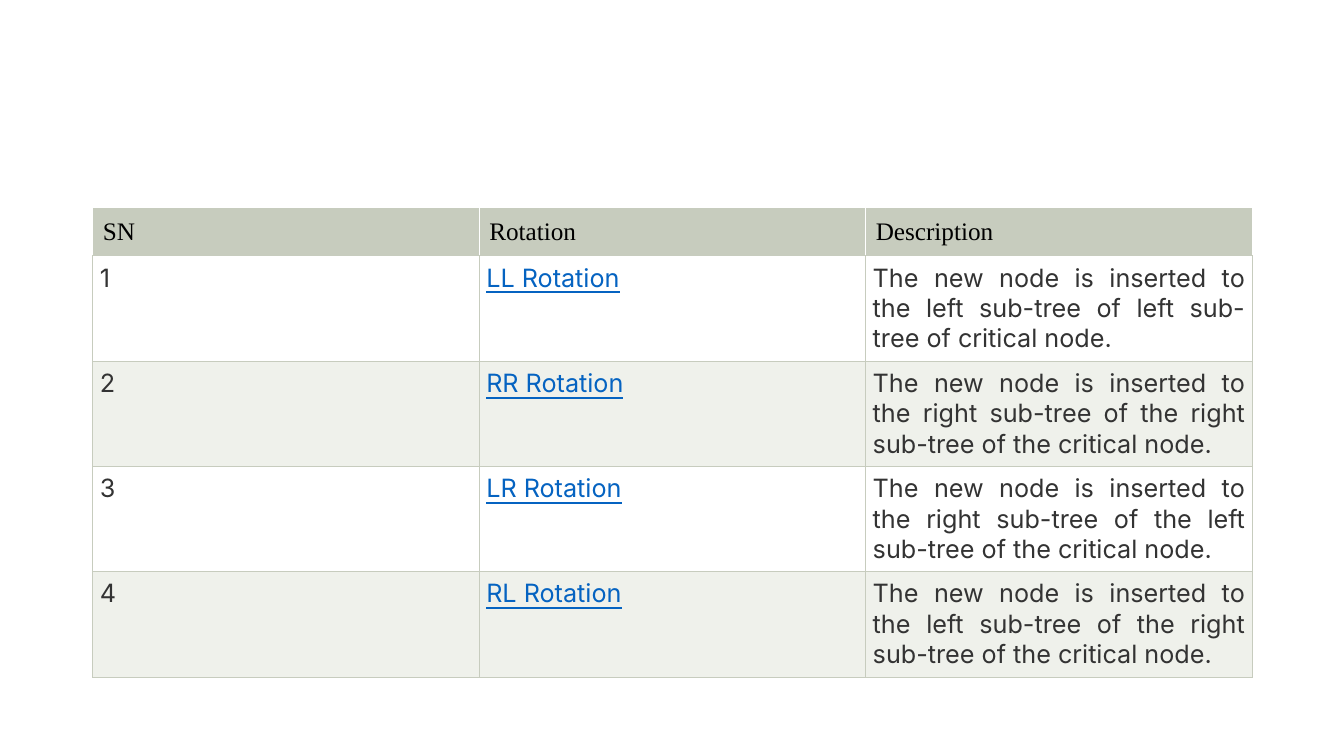
from lxml import etree
from pptx import Presentation
from pptx.dml.color import RGBColor
from pptx.enum import text
from pptx.oxml import ns
from pptx.util import Inches, Pt

SAGE = RGBColor(0xC7, 0xCC, 0xBE)
PALE_SAGE = RGBColor(0xEF, 0xF1, 0xEB)
WHITE = RGBColor(0xFF, 0xFF, 0xFF)
BLACK = RGBColor(0x00, 0x00, 0x00)
DARK_GREY = RGBColor(0x33, 0x33, 0x33)
LINK_BLUE = RGBColor(0x05, 0x63, 0xC1)

HEADINGS = ["SN", "Rotation", "Description"]
ROTATIONS = [
    ("LL Rotation", "The new node is inserted to the left sub-tree of left sub-tree of critical node."),
    ("RR Rotation", "The new node is inserted to the right sub-tree of the right sub-tree of the critical node."),
    ("LR Rotation", "The new node is inserted to the right sub-tree of the left sub-tree of the critical node."),
    ("RL Rotation", "The new node is inserted to the left sub-tree of the right sub-tree of the critical node."),
]


def set_borders(cell, sides):
    """Draw thin sage lines on the given sides, in the order L, R, T, B."""
    properties = cell._tc.get_or_add_tcPr()
    for position, side in enumerate(sides):
        line = etree.Element(ns.qn(f"a:ln{side}"), w=str(Pt(0.6)))
        fill = etree.SubElement(line, ns.qn("a:solidFill"))
        etree.SubElement(fill, ns.qn("a:srgbClr"), val=str(SAGE))
        properties.insert(position, line)


def fill_cell(cell, content, background, margin, font_name, color):
    cell.fill.solid()
    cell.fill.fore_color.rgb = background
    cell.margin_left = cell.margin_right = Inches(margin)
    cell.margin_top = cell.margin_bottom = Inches(margin)
    cell.text = content
    paragraph = cell.text_frame.paragraphs[0]
    paragraph.font.name = font_name
    paragraph.font.size = Pt(18)
    paragraph.font.bold = False
    paragraph.font.color.rgb = color
    return paragraph


def add_header(table):
    for cell, heading in zip(table.rows[0].cells, HEADINGS):
        fill_cell(cell, heading, SAGE, 0.1, "Times New Roman", BLACK)
        set_borders(cell, "B")


def add_rotation(table, number, name, description):
    background = WHITE if number % 2 else PALE_SAGE
    for cell, content in zip(table.rows[number].cells, (str(number), name, description)):
        is_name = content == name
        color = LINK_BLUE if is_name else DARK_GREY
        paragraph = fill_cell(cell, content, background, 0.07, "Inter", color)
        paragraph.alignment = text.PP_ALIGN.JUSTIFY
        paragraph.font.underline = is_name
        set_borders(cell, "LRTB")


def add_rotation_table(page):
    frame = page.shapes.add_table(len(ROTATIONS) + 1, len(HEADINGS),
                                  Inches(0.92), Inches(2.06), Inches(11.5), Inches(4.63))
    table = frame.table
    table.rows[0].height = Inches(0.47)
    add_header(table)
    for number, (name, description) in enumerate(ROTATIONS, start=1):
        table.rows[number].height = Inches(1.04)
        add_rotation(table, number, name, description)


def main():
    deck = Presentation()
    deck.slide_width, deck.slide_height = Inches(13.33), Inches(7.5)

    # Blank layout: the slide shows a table and no title
    page = deck.slides.add_slide(deck.slide_layouts[6])
    add_rotation_table(page)
    deck.save("out.pptx")


if __name__ == "__main__":
    main()
